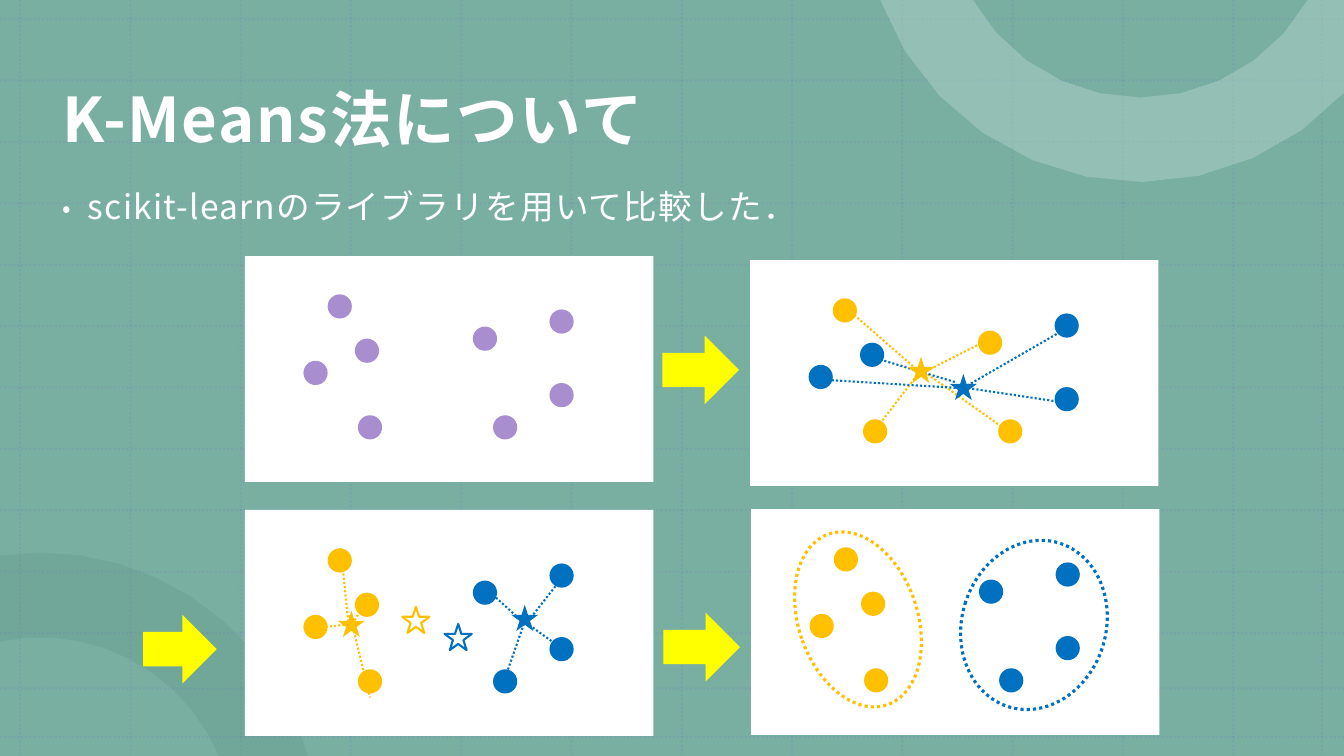
import math

import lxml.etree
import pptx
import pptx.dml.color
import pptx.enum.dml
import pptx.enum.shapes
import pptx.enum.text
import pptx.oxml.ns
import pptx.util

Inches = pptx.util.Inches
Pt = pptx.util.Pt
RGBColor = pptx.dml.color.RGBColor
SHAPE = pptx.enum.shapes.MSO_SHAPE
ANCHOR = pptx.enum.text.MSO_ANCHOR
DOTTED = pptx.enum.dml.MSO_LINE.ROUND_DOT

GREEN = RGBColor(0x79, 0xAF, 0xA1)
DARK_GREEN = RGBColor(0x53, 0x8B, 0x7C)
PALE_GREEN = RGBColor(0xAF, 0xCF, 0xC7)
GRID_VIOLET = RGBColor(0x76, 0x77, 0xC3)
WHITE = RGBColor(0xFF, 0xFF, 0xFF)
YELLOW = RGBColor(0xFF, 0xFF, 0x00)
PURPLE = RGBColor(0xA8, 0x8E, 0xCE)
ORANGE = RGBColor(0xFF, 0xC0, 0x00)
BLUE = RGBColor(0x00, 0x70, 0xC0)

FONT = "Noto Sans CJK JP"
WIDTH, HEIGHT = 13.33, 7.5
PANEL_SIZE = (4.05, 2.24)
DOT_SIZE = (0.24, 0.24)
STAR_SIZE = (0.27, 0.26)

# Data points, measured from the top left corner of a panel
POINTS = [(0.82, 0.38), (0.58, 1.04), (1.09, 0.82), (1.12, 1.58),
          (2.26, 0.70), (2.46, 1.58), (3.02, 1.26), (3.02, 0.53)]

UNASSIGNED = [PURPLE] * 8
FIRST_GUESS = [ORANGE, BLUE, BLUE, ORANGE, ORANGE, ORANGE, BLUE, BLUE]
CLUSTERED = [ORANGE] * 4 + [BLUE] * 4
PANELS = [((2.43, 2.54), UNASSIGNED), ((7.45, 5.05), CLUSTERED),
          ((7.44, 2.58), FIRST_GUESS), ((2.43, 5.06), CLUSTERED)]

STEP_ARROWS = [(6.57, 3.33, 0.76), (1.42, 6.10, 0.73), (6.58, 6.08, 0.76)]

LINKS = [
    (ORANGE, (8.41, 3.07), (9.12, 3.69)),
    (ORANGE, (10, 4.28), (9.14, 3.67)),
    (ORANGE, (9.84, 3.35), (9.11, 3.72)),
    (ORANGE, (9.12, 3.69), (8.6, 4.37)),
    (BLUE, (10.66, 3.21), (9.55, 3.85)),
    (BLUE, (10.53, 3.99), (9.53, 3.84)),
    (BLUE, (9.47, 3.79), (8.54, 3.51)),
    (BLUE, (9.52, 3.85), (8.05, 3.76)),
    (ORANGE, (3.61, 5.99), (3.51, 6.17)),
    (ORANGE, (3.47, 6.1), (3.67, 6.92)),
    (ORANGE, (3.38, 5.44), (3.46, 6.23)),
    (ORANGE, (3.5, 6.19), (3.05, 6.24)),
    (BLUE, (5.56, 5.75), (5.24, 6.16)),
    (BLUE, (5.47, 6.36), (5.18, 6.15)),
    (BLUE, (5.21, 6.15), (4.99, 6.78)),
    (BLUE, (5.15, 6.14), (4.79, 5.81)),
]

# Place, fill, outline
CENTROIDS = [
    ((9.42, 3.71), BLUE, None), ((9, 3.54), ORANGE, None),
    ((4.41, 6.19), WHITE, BLUE), ((3.99, 6.02), WHITE, ORANGE),
    ((5.07, 6), BLUE, None), ((3.35, 6.06), ORANGE, None),
]


def set_all(target, values):
    for name, value in values.items():
        setattr(target, name, value)


def add_child(parent, tag, **attributes):
    return lxml.etree.SubElement(parent, pptx.oxml.ns.qn(tag), attributes)


def set_opacity(element, percent):
    color = element.spPr.xpath(".//a:srgbClr")[0]
    add_child(color, "a:alpha", val=str(percent * 1000))


def paint(shape, fill=None, outline=None, **line_format):
    shape.shadow.inherit = False
    if fill is None:
        shape.fill.background()
    else:
        shape.fill.solid()
        shape.fill.fore_color.rgb = fill
    if outline is None:
        shape.line.fill.background()
    else:
        shape.line.color.rgb = outline
        set_all(shape.line, line_format)


def add_figure(canvas, kind, place, size, fill=None, outline=None, **line_format):
    """Adds a preset shape to a slide or a group."""
    figure = canvas.shapes.add_shape(kind, *map(Inches, (*place, *size)))
    paint(figure, fill, outline, **line_format)
    return figure


def add_dotted_line(canvas, color, start, end):
    link = canvas.shapes.add_connector(
        pptx.enum.shapes.MSO_CONNECTOR.STRAIGHT, *map(Inches, (*start, *end)))
    link.line.color.rgb = color
    set_all(link.line, {"width": Pt(1.5), "dash_style": DOTTED})
    add_child(link._element.spPr, "a:effectLst")
    return link


def add_grid(slide):
    grid = slide.shapes.add_group_shape()
    columns = [0.2 + (12.23 - 0.2) / 11 * i for i in range(12)] + [13.11]
    rows = [0.19 + (6.28 - 0.19) / 10 * i for i in range(11)] + [6.83, 7.31]
    ends = [((x, 0), (x, HEIGHT)) for x in columns]
    ends += [((0, y), (WIDTH, y)) for y in rows]
    for start, end in ends:
        grid_line = add_dotted_line(grid, GRID_VIOLET, start, end)
        set_opacity(grid_line._element, 20)


def arc(center, start, end, steps=10):
    """Points on the circle around center, from start to end."""
    cx, cy = center
    radius = math.dist(center, start)
    first, last = (math.atan2(y - cy, x - cx) for x, y in (start, end))
    angles = [first + (last - first) * i / steps for i in range(steps + 1)]
    return [(cx + radius * math.cos(a), cy + radius * math.sin(a)) for a in angles]


def add_ring(slide, outline, color, opacity):
    corners = [(Inches(x), Inches(y)) for x, y in outline]
    builder = slide.shapes.build_freeform(*corners[0])
    builder.add_line_segments(corners[1:], close=True)
    ring = builder.convert_to_shape()
    paint(ring, color)
    set_opacity(ring._element, opacity)


def add_text(slide, box, text, anchor, spacing, font_format, tracking):
    """Adds one line of text; tracking is in hundredths of a point."""
    frame = slide.shapes.add_textbox(*map(Inches, box)).text_frame
    set_all(frame, {
        "word_wrap": True, "vertical_anchor": anchor,
        "margin_left": Inches(0.12), "margin_right": Inches(0.12),
        "margin_top": Inches(0.12), "margin_bottom": Inches(0.1)})
    paragraph = frame.paragraphs[0]
    set_all(paragraph, spacing)
    run = paragraph.add_run()
    run.text = text
    run.font.color.rgb = WHITE
    set_all(run.font, {"name": FONT, **font_format})
    properties = run._r.get_or_add_rPr()
    properties.set("spc", str(tracking))
    add_child(properties, "a:ea", typeface=FONT)
    return paragraph


def add_bullet(paragraph):
    properties = paragraph._p.get_or_add_pPr()
    indent = Inches(0.25)
    properties.set("marL", str(indent))
    properties.set("indent", str(-indent))
    add_child(add_child(properties, "a:buClr"), "a:srgbClr", val=str(WHITE))
    add_child(properties, "a:buSzPct", val="75000")
    add_child(properties, "a:buFont", typeface=FONT)
    add_child(properties, "a:buChar", char="•")


def add_panel(slide, place, colors):
    panel = slide.shapes.add_group_shape()
    left, top = place
    add_figure(panel, SHAPE.RECTANGLE, place, PANEL_SIZE, WHITE)
    for (x, y), color in zip(POINTS, colors):
        add_figure(panel, SHAPE.OVAL, (left + x, top + y), DOT_SIZE, color)


def add_cluster_outline(slide, place, size, color, rotation):
    outline = add_figure(slide, SHAPE.OVAL, place, size, None, color,
                         width=Pt(2.25), dash_style=DOTTED)
    outline.rotation = rotation


def main():
    deck = pptx.Presentation()
    set_all(deck, {"slide_width": Inches(WIDTH), "slide_height": Inches(HEIGHT)})
    slide = deck.slides.add_slide(deck.slide_layouts[6])

    add_figure(slide, SHAPE.RECTANGLE, (0, 0), (WIDTH, HEIGHT), GREEN)
    add_grid(slide)
    lower, upper = (0.4, 8.24), (11.31, -0.94)
    add_ring(slide, arc(lower, (0, 5.51), (3.06, 7.5))
             + arc(lower, (2.17, 7.5), (0, 6.37)), DARK_GREEN, 20)
    add_ring(slide, arc(upper, (8.73, 0), (13.33, 0.92)) + [(WIDTH, 0)]
             + arc(upper, (12.97, 0), (9.65, 0)), PALE_GREEN, 50)

    add_text(slide, (0.5, 0.4, 11.73, 1.45), "K-Means法について", ANCHOR.MIDDLE,
             {"line_spacing": 1.1}, {"size": Pt(44), "bold": True}, 120)
    note = add_text(slide, (0.5, 1.67, 11.73, 5.08),
                    "scikit-learnのライブラリを用いて比較した．", ANCHOR.TOP,
                    {"line_spacing": 1.14, "space_before": Pt(10)},
                    {"size": Pt(24)}, 90)
    add_bullet(note)

    for left, top, length in STEP_ARROWS:
        add_figure(slide, SHAPE.RIGHT_ARROW, (left, top), (length, 0.68), YELLOW)
    for place, colors in PANELS:
        add_panel(slide, place, colors)
    for color, start, end in LINKS:
        add_dotted_line(slide, color, start, end)
    for place, fill, outline in CENTROIDS:
        add_figure(slide, SHAPE.STAR_5_POINT, place, STAR_SIZE, fill, outline,
                   width=Pt(1.5))
    add_cluster_outline(slide, (7.92, 5.25), (1.18, 1.79), ORANGE, 341.1)
    add_cluster_outline(slide, (9.54, 5.35), (1.43, 1.7), BLUE, 17)

    deck.save("out.pptx")


if __name__ == "__main__":
    main()
